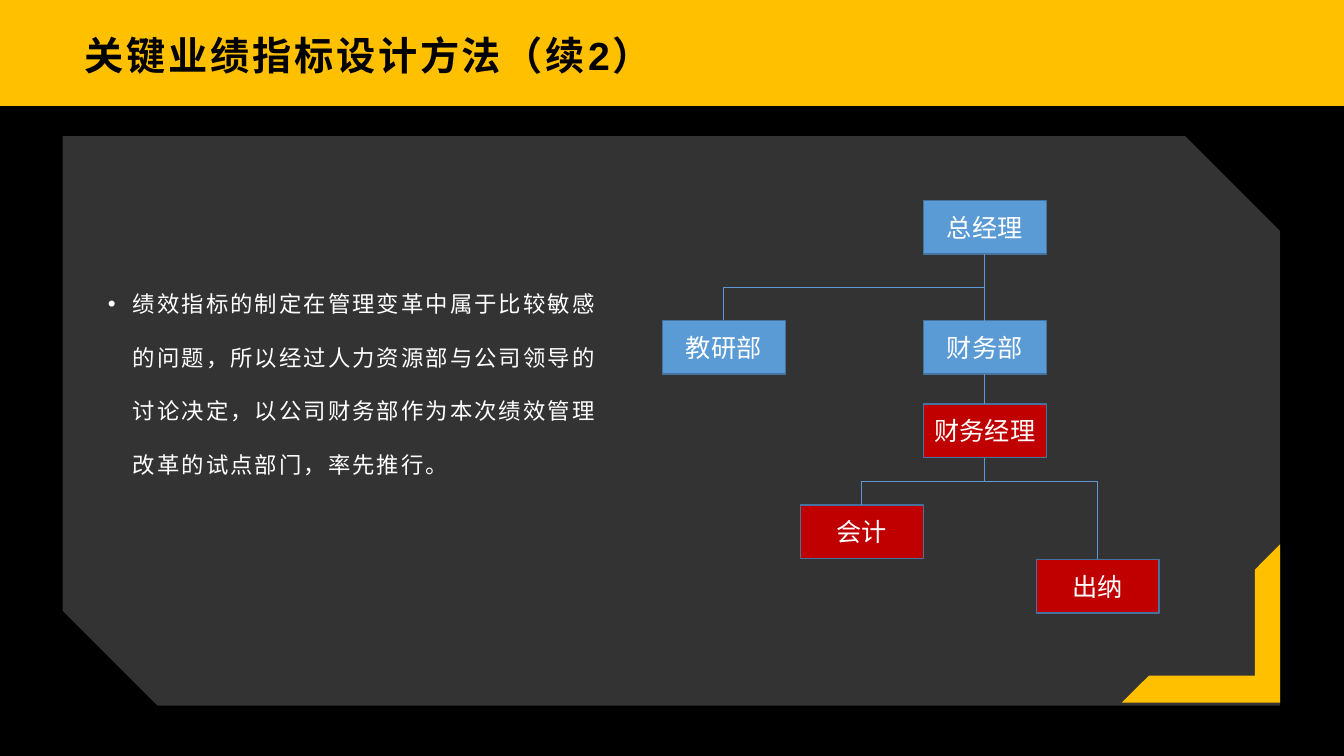
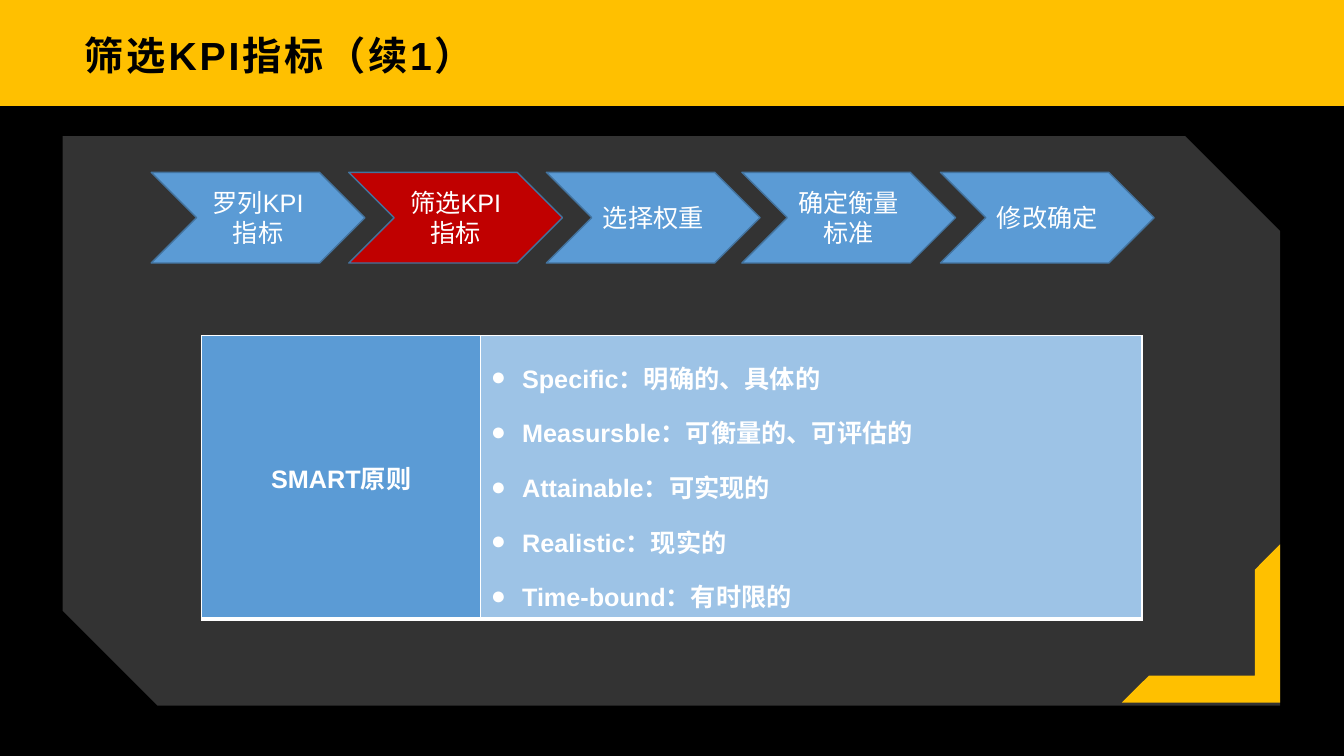
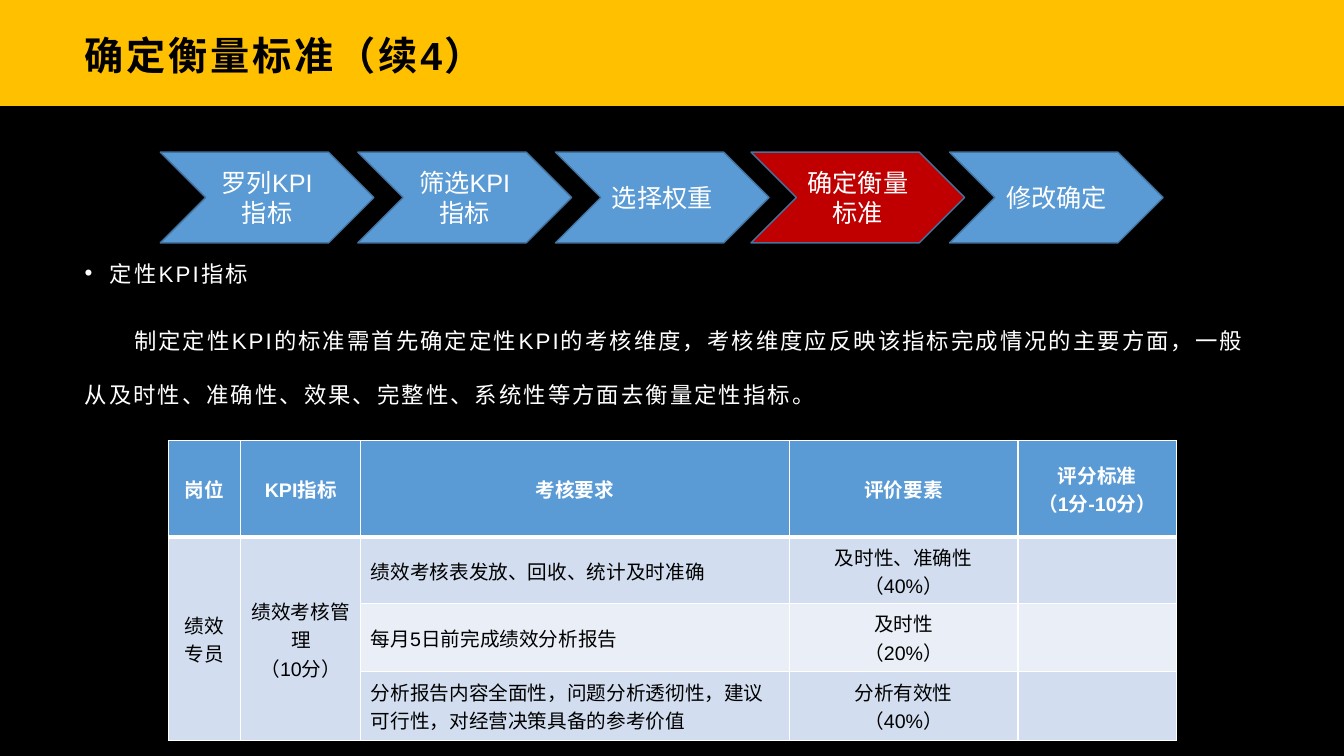
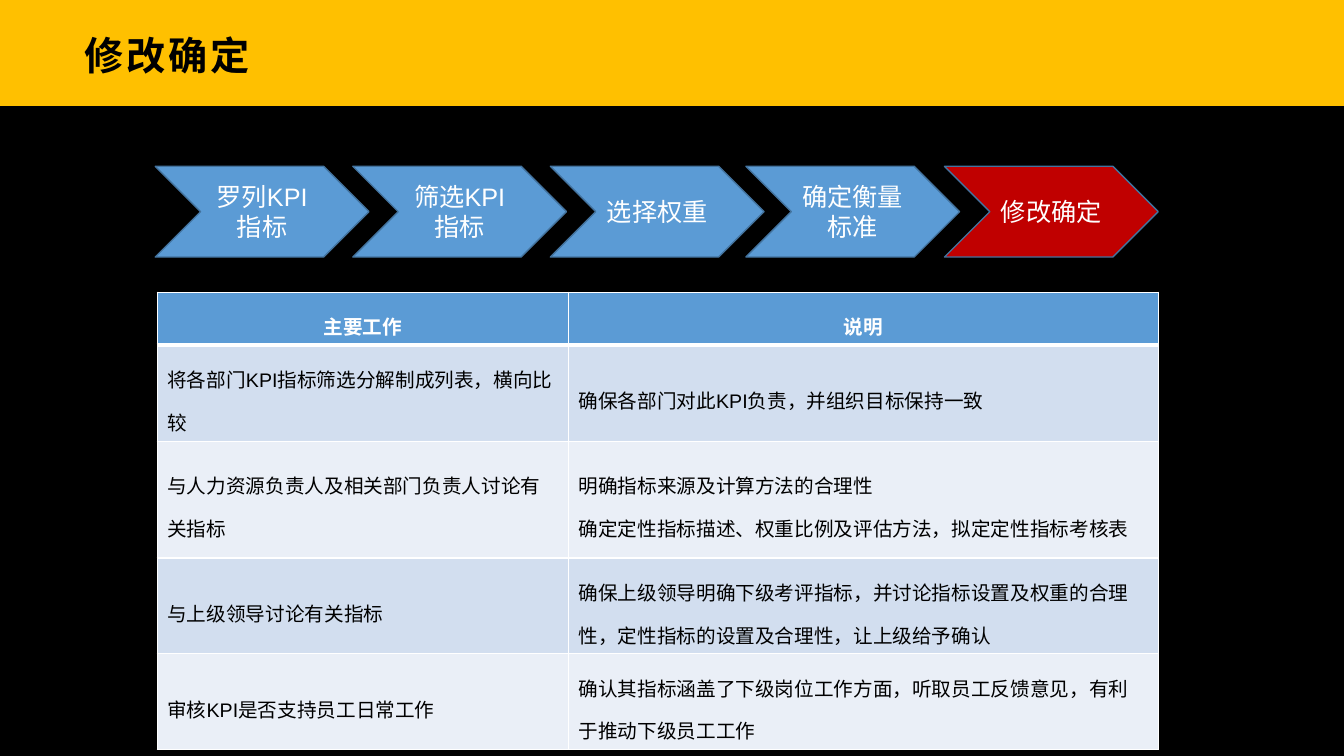
from dataclasses import dataclass

from lxml.etree import SubElement
from pptx import Presentation
from pptx.dml.color import RGBColor
from pptx.enum.lang import MSO_LANGUAGE_ID
from pptx.enum.shapes import MSO_CONNECTOR, MSO_SHAPE
from pptx.enum.text import MSO_ANCHOR, MSO_AUTO_SIZE, PP_ALIGN
from pptx.oxml.ns import qn
from pptx.util import Inches, Pt


@dataclass(frozen=True)
class Theme:
    font: str = "Arial"
    gold: str = "FFC000"
    black: str = "000000"
    white: str = "FFFFFF"
    blue: str = "5B9BD5"
    light_blue: str = "9DC3E6"
    outline: str = "43739E"
    red: str = "C00000"
    odd_row: str = "D2DEEF"
    even_row: str = "EAEFF7"
    title_size: int = 28
    label_size: int = 18
    body_size: int = 16
    table_size: int = 14


THEME = Theme()
TITLE_ONLY = 5
STEP_OFFSETS = {
    "罗列KPI指标": 0,
    "筛选KPI指标": 1.96,
    "选择权重": 3.92,
    "确定衡量标准": 5.86,
    "修改确定": 7.83,
}
STEP_WIDTH, STEP_HEIGHT = 2.12, 0.9
BOX_WIDTH, BOX_HEIGHT = 1.22, 0.53


def rgb(color):
    return RGBColor.from_string(color)


def format_paragraph(paragraph, size, color, bold=False, align=PP_ALIGN.LEFT,
                     line_spacing=None, space_after=None, tracking=0):
    paragraph.alignment = align
    if line_spacing:
        paragraph.line_spacing = line_spacing
    if space_after:
        paragraph.space_after = Pt(space_after)
    for run in paragraph.runs:
        run.font.name = THEME.font
        run.font.size = Pt(size)
        run.font.bold = bold
        run.font.color.rgb = rgb(color)
        run.font.language_id = MSO_LANGUAGE_ID.SIMPLIFIED_CHINESE
        if tracking:
            run.font._element.set("spc", str(int(tracking * 100)))


def indent_paragraph(paragraph, first_line, left=0, bullet=None):
    properties = paragraph._p.get_or_add_pPr()
    properties.set("marL", str(Inches(left)))
    properties.set("indent", str(Inches(first_line)))
    if bullet:
        SubElement(properties, qn("a:buFont")).set("typeface", THEME.font)
        SubElement(properties, qn("a:buChar")).set("char", bullet)


def set_insets(text_frame, left, top, right, bottom):
    text_frame.margin_left, text_frame.margin_right = Inches(left), Inches(right)
    text_frame.margin_top, text_frame.margin_bottom = Inches(top), Inches(bottom)


def set_background(master):
    fill = master.background.fill
    fill.gradient()
    fill.gradient_angle = 270
    for stop, color in zip(fill.gradient_stops, (THEME.gold, THEME.black)):
        stop.position = 0.14
        stop.color.rgb = rgb(color)


def add_titled_slide(presentation, text):
    slide = presentation.slides.add_slide(presentation.slide_layouts[TITLE_ONLY])
    title = slide.shapes.title
    title.left, title.top = Inches(0.73), Inches(0.19)
    title.width, title.height = Inches(11.87), Inches(0.71)
    text_frame = title.text_frame
    text_frame.text = text
    text_frame.auto_size = MSO_AUTO_SIZE.NONE
    text_frame.vertical_anchor = MSO_ANCHOR.MIDDLE
    set_insets(text_frame, 0.11, 0.04, 0.08, 0.04)
    format_paragraph(text_frame.paragraphs[0], THEME.title_size, THEME.black,
                     bold=True, tracking=2)
    return slide


def add_filled_shape(slide, preset, left, top, width, height, fill, outline=None):
    shape = slide.shapes.add_shape(preset, Inches(left), Inches(top),
                                   Inches(width), Inches(height))
    shape.shadow.inherit = False
    shape.fill.solid()
    shape.fill.fore_color.rgb = rgb(fill)
    if outline:
        shape.line.color.rgb = rgb(outline)
        shape.line.width = Pt(1)
    else:
        shape.line.fill.background()
    return shape


def add_label_shape(slide, preset, left, top, width, height, text, fill):
    shape = add_filled_shape(slide, preset, left, top, width, height, fill, THEME.outline)
    shape.text_frame.text = text
    shape.text_frame.vertical_anchor = MSO_ANCHOR.MIDDLE
    format_paragraph(shape.text_frame.paragraphs[0], THEME.label_size, THEME.white,
                     align=PP_ALIGN.CENTER)


def add_panel(slide):
    panel = add_filled_shape(slide, MSO_SHAPE.SNIP_2_DIAG_RECTANGLE,
                             0.62, 1.35, 12.08, 5.65, THEME.white)
    color = panel.fill._xPr.find(qn("a:solidFill"))[0]
    SubElement(color, qn("a:alpha")).set("val", "20000")


def add_corner(slide):
    corner = add_filled_shape(slide, MSO_SHAPE.HALF_FRAME,
                              11.13, 5.4, 1.57, 1.57, THEME.gold)
    corner.rotation = 180
    corner.adjustments[0] = 0.17
    corner.adjustments[1] = 0.16


def add_body(slide, left, top, width, height, text):
    box = slide.shapes.add_textbox(Inches(left), Inches(top), Inches(width), Inches(height))
    text_frame = box.text_frame
    text_frame.word_wrap = True
    set_insets(text_frame, 0.11, 0, 0.09, 0)
    text_frame.text = text
    for paragraph in text_frame.paragraphs:
        format_paragraph(paragraph, THEME.body_size, THEME.white,
                         line_spacing=2.0, space_after=10, tracking=1.5)
    indent_paragraph(text_frame.paragraphs[0], -0.25, 0.25, "•")
    return text_frame


def add_steps(slide, left, top, current):
    for step, offset in STEP_OFFSETS.items():
        add_label_shape(slide, MSO_SHAPE.CHEVRON, left + offset, top,
                        STEP_WIDTH, STEP_HEIGHT, step,
                        THEME.red if step == current else THEME.blue)


def add_branch(slide, parent, child, bend=0.5):
    start_x, start_y = parent[0] + BOX_WIDTH / 2, parent[1] + BOX_HEIGHT
    end_x, end_y = child[0] + BOX_WIDTH / 2, child[1]
    if start_x == end_x:
        connector = slide.shapes.add_connector(
            MSO_CONNECTOR.STRAIGHT, Inches(start_x), Inches(start_y),
            Inches(end_x), Inches(end_y))
    else:
        middle_x, middle_y = (start_x + end_x) / 2, (start_y + end_y) / 2
        half_drop, half_run = (end_y - start_y) / 2, (start_x - end_x) / 2
        connector = slide.shapes.add_connector(
            MSO_CONNECTOR.ELBOW,
            Inches(middle_x - half_drop), Inches(middle_y - half_run),
            Inches(middle_x + half_drop), Inches(middle_y + half_run))
        properties = connector._element.spPr
        properties.find(qn("a:xfrm")).set("rot", "5400000")
        guides = properties.find(qn("a:prstGeom")).find(qn("a:avLst"))
        guide = SubElement(guides, qn("a:gd"))
        guide.set("name", "adj1")
        guide.set("fmla", f"val {round(bend * 100000)}")
    connector.line.color.rgb = rgb(THEME.blue)
    connector.line.width = Pt(0.5)
    SubElement(connector._element.spPr, qn("a:effectLst"))


def set_borders(cell, top=1, bottom=1):
    properties = cell._tc.get_or_add_tcPr()
    for tag, width in (("a:lnL", 1), ("a:lnR", 1), ("a:lnT", top), ("a:lnB", bottom)):
        line = SubElement(properties, qn(tag))
        line.set("w", str(Pt(width)))
        fill = SubElement(line, qn("a:solidFill"))
        SubElement(fill, qn("a:srgbClr")).set("val", THEME.white)


def fill_cell(cell, text, fill, top=1, bottom=1, **text_style):
    set_borders(cell, top, bottom)
    cell.fill.solid()
    cell.fill.fore_color.rgb = rgb(fill)
    cell.vertical_anchor = MSO_ANCHOR.MIDDLE
    if text:
        cell.text_frame.text = text
        for paragraph in cell.text_frame.paragraphs:
            format_paragraph(paragraph, **text_style)


def add_plain_table(slide, left, top, widths, heights):
    frame = slide.shapes.add_table(len(heights), len(widths), Inches(left), Inches(top),
                                   Inches(sum(widths)), Inches(sum(heights)))
    table = frame.table
    table.first_row = table.horz_banding = False
    for column, width in zip(table.columns, widths):
        column.width = Inches(width)
    for row, height in zip(table.rows, heights):
        row.height = Inches(height)
    return table


def add_banded_table(slide, left, top, widths, heights, rows, centred=(), line_spacing=None):
    table = add_plain_table(slide, left, top, widths, heights)
    for row_index, row in enumerate(rows):
        header = row_index == 0
        band = THEME.odd_row if row_index % 2 else THEME.even_row
        for column_index, text in enumerate(row):
            fill_cell(table.cell(row_index, column_index), text,
                      THEME.blue if header else band,
                      top=3 if row_index == 1 else 1,
                      bottom=3 if header else 1,
                      size=THEME.table_size,
                      color=THEME.white if header else THEME.black,
                      bold=header,
                      align=PP_ALIGN.CENTER if header or column_index in centred
                      else PP_ALIGN.LEFT,
                      line_spacing=line_spacing)
    return table


def build_design_method(presentation):
    slide = add_titled_slide(presentation, "关键业绩指标设计方法（续2）")
    add_panel(slide)
    add_body(slide, 0.96, 2.61, 5.3, 2.95,
             "绩效指标的制定在管理变革中属于比较敏感的问题，所以经过人力资源部与公司领导的"
             "讨论决定，以公司财务部作为本次绩效管理改革的试点部门，率先推行。")
    positions = {
        "总经理": (9.16, 1.99),
        "教研部": (6.57, 3.18),
        "财务部": (9.16, 3.18),
        "财务经理": (9.16, 4.01),
        "会计": (7.94, 5.01),
        "出纳": (10.28, 5.55),
    }
    pilot_roles = ("财务经理", "会计", "出纳")
    for name, (left, top) in positions.items():
        add_label_shape(slide, MSO_SHAPE.FLOWCHART_PROCESS, left, top, BOX_WIDTH, BOX_HEIGHT,
                        name, THEME.red if name in pilot_roles else THEME.blue)
    for parent, child, bend in (
        ("总经理", "财务部", 0.5),
        ("总经理", "教研部", 0.5),
        ("财务部", "财务经理", 0.5),
        ("财务经理", "会计", 0.5),
        ("财务经理", "出纳", 0.23),
    ):
        add_branch(slide, positions[parent], positions[child], bend)
    add_corner(slide)


def build_screening(presentation):
    slide = add_titled_slide(presentation, "筛选KPI指标（续1）")
    add_panel(slide)
    add_steps(slide, 1.5, 1.71, "筛选KPI指标")
    table = add_plain_table(slide, 2, 3.33, [2.77, 6.56], [2.37])
    style = dict(bottom=3, size=THEME.label_size, color=THEME.white, bold=True)
    fill_cell(table.cell(0, 0), "SMART原则", THEME.blue, align=PP_ALIGN.CENTER, **style)
    principles = table.cell(0, 1)
    fill_cell(principles,
              "Specific：明确的、具体的\n"
              "Measursble：可衡量的、可评估的\n"
              "Attainable：可实现的\n"
              "Realistic：现实的\n"
              "Time-bound：有时限的",
              THEME.light_blue, line_spacing=1.5, **style)
    for paragraph in principles.text_frame.paragraphs:
        indent_paragraph(paragraph, -0.31, 0.31, "●")
    add_corner(slide)


def build_standards(presentation):
    slide = add_titled_slide(presentation, "确定衡量标准（续4）")
    text_frame = add_body(
        slide, 0.73, 2.31, 11.87, 2,
        "定性KPI指标\n"
        "制定定性KPI的标准需首先确定定性KPI的考核维度，考核维度应反映该指标完成情况的"
        "主要方面，一般从及时性、准确性、效果、完整性、系统性等方面去衡量定性指标。")
    indent_paragraph(text_frame.paragraphs[1], 0.49)
    add_steps(slide, 1.59, 1.51, "确定衡量标准")
    table = add_banded_table(
        slide, 1.67, 4.37, [0.72, 1.19, 4.25, 2.27, 1.57], [0.96, 0.66, 0.67, 0.69],
        [
            ["岗位", "KPI指标", "考核要求", "评价要素", "评分标准\n（1分-10分）"],
            ["绩效专员", "绩效考核管理\n（10分）", "绩效考核表发放、回收、统计及时准确",
             "及时性、准确性（40%）", ""],
            ["", "", "每月5日前完成绩效分析报告", "及时性\n（20%）", ""],
            ["", "", "分析报告内容全面性，问题分析透彻性，建议可行性，对经营决策具备的参考价值",
             "分析有效性\n（40%）", ""],
        ],
        centred=(0, 1, 3))
    for column in (0, 1):
        table.cell(1, column).merge(table.cell(3, column))


def build_confirmation(presentation):
    slide = add_titled_slide(presentation, "修改确定")
    add_steps(slide, 1.54, 1.65, "修改确定")
    add_banded_table(
        slide, 1.56, 2.9, [4.08, 5.85], [0.45, 0.81, 1.16, 0.81, 0.81],
        [
            ["主要工作", "说明"],
            ["将各部门KPI指标筛选分解制成列表，横向比较",
             "确保各部门对此KPI负责，并组织目标保持一致"],
            ["与人力资源负责人及相关部门负责人讨论有关指标",
             "明确指标来源及计算方法的合理性\n"
             "确定定性指标描述、权重比例及评估方法，拟定定性指标考核表"],
            ["与上级领导讨论有关指标",
             "确保上级领导明确下级考评指标，并讨论指标设置及权重的合理性，"
             "定性指标的设置及合理性，让上级给予确认"],
            ["审核KPI是否支持员工日常工作",
             "确认其指标涵盖了下级岗位工作方面，听取员工反馈意见，有利于推动下级员工工作"],
        ],
        line_spacing=1.5)


def main():
    presentation = Presentation()
    presentation.slide_width = Inches(40 / 3)
    presentation.slide_height = Inches(7.5)
    set_background(presentation.slide_master)
    build_design_method(presentation)
    build_screening(presentation)
    build_standards(presentation)
    build_confirmation(presentation)
    presentation.save("out.pptx")


if __name__ == "__main__":
    main()
